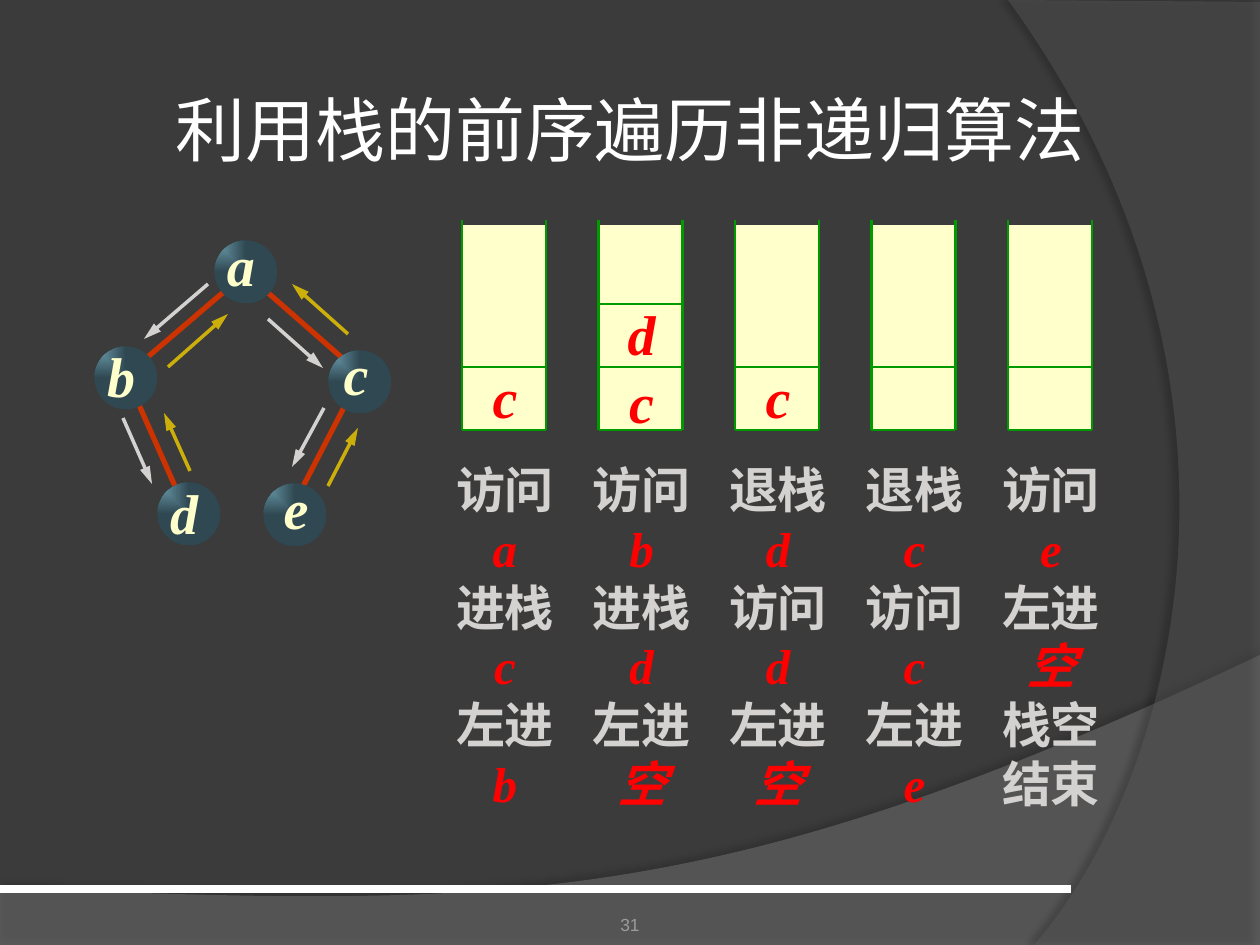
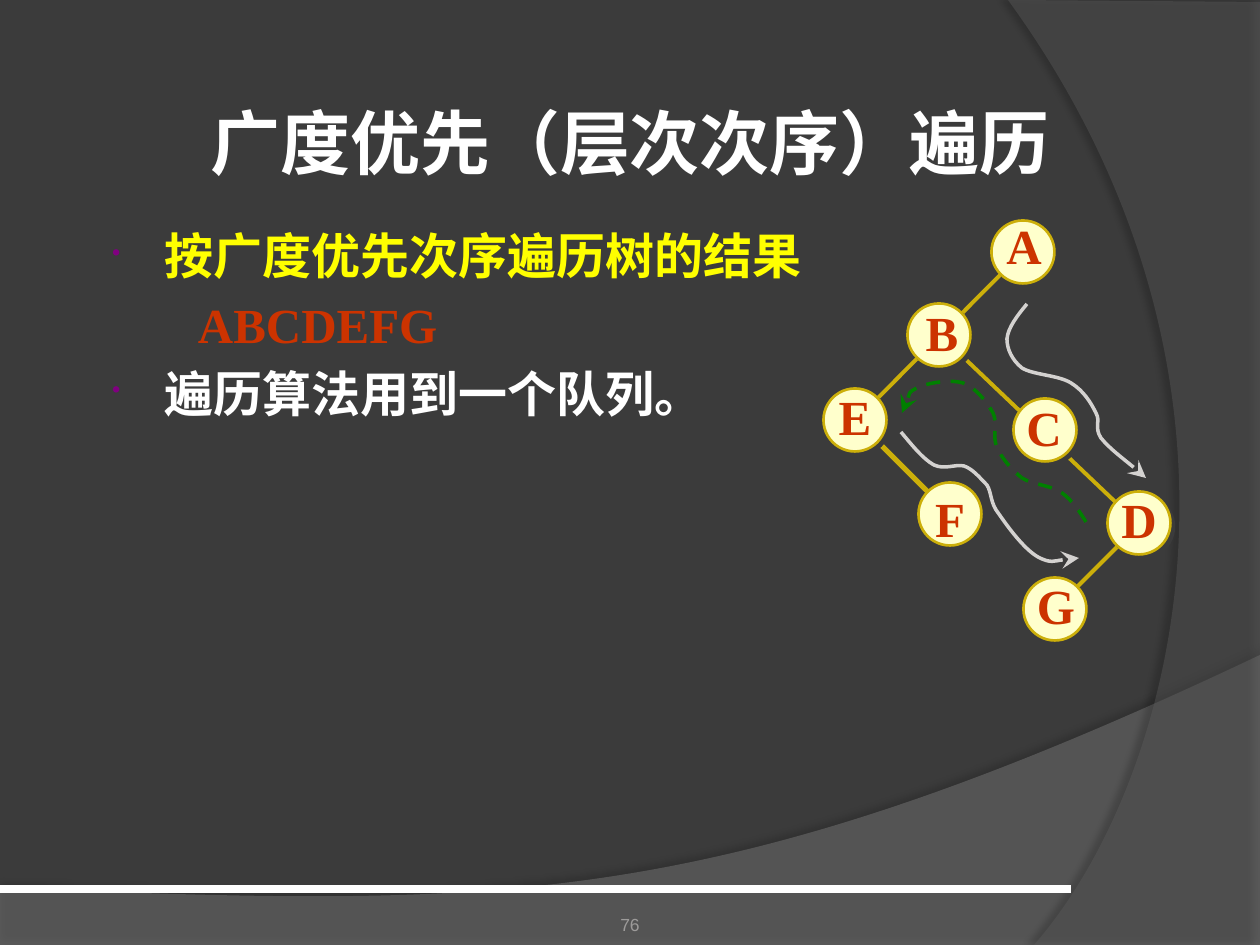
from dataclasses import dataclass

from pptx import Presentation
from pptx.dml.color import RGBColor
from pptx.enum.dml import MSO_LINE
from pptx.enum.shapes import MSO_CONNECTOR, MSO_SHAPE
from pptx.enum.text import MSO_ANCHOR, PP_ALIGN
from pptx.oxml import parse_xml
from pptx.oxml.ns import nsdecls, qn
from pptx.util import Emu, Pt


@dataclass(frozen=True)
class Theme:
    back: str = "3B3B3B"
    black: str = "000000"
    band_low: str = "7F7F7F"
    band_right: str = "5E5E5E"
    white: str = "FFFFFF"
    light: str = "D4D2D0"
    number: str = "9D9B9A"
    cream: str = "FFFFCC"
    gold: str = "CCAF0A"
    rust: str = "CC3300"
    red: str = "FF0000"
    yellow: str = "FFFF00"
    stack: str = "009900"
    dashed: str = "008000"
    bullet: str = "800080"
    ball_light: str = "6EA0B0"
    ball_dark: str = "2F4852"
    title_pt: int = 40
    node_pt: int = 32
    text_pt: int = 28
    number_pt: int = 10
    serif: str = "Times New Roman"
    cjk: str = "Noto Sans CJK JP"
    title: str = "Karla"
    sans: str = "Arial"


T = Theme()
W, H, DPI = 1260, 945, 126
NODE = 63

# ---- Content: preorder traversal with a stack ----
PREORDER_TITLE = "利用栈的前序遍历非递归算法"
# letter: node centre, label offset
PREORDER_NODES = {
    "a": (246, 272, -5, -8), "b": (126, 378, -5, -3), "c": (360, 382, -4, -9),
    "d": (189, 514, -5, -2), "e": (295, 515, 1, -8),
}
PREORDER_EDGES = [(354, 388, 297, 498), (136, 398, 178, 493),
                  (258, 284, 348, 363), (233, 284, 136, 367)]
DOWN_ARROWS = [(208, 284, 144, 339), (123, 418, 152, 484),
               (268, 319, 323, 368), (324, 408, 292, 467)]
UP_ARROWS = [(190, 471, 164, 413), (168, 367, 228, 314),
             (328, 486, 358, 428), (348, 334, 292, 284)]
# stack contents from the top, centre of the contents, steps below
STACKS = [
    (["c"], 396, ["访问", "a", "进栈", "c", "左进", "b"]),
    (["d", "c"], 367, ["访问", "b", "进栈", "d", "左进", "空"]),
    (["c"], 396, ["退栈", "d", "访问", "d", "左进", "空"]),
    ([], 396, ["退栈", "c", "访问", "c", "左进", "e"]),
    ([], 396, ["访问", "e", "左进", "空", "栈空", "结束"]),
]
STACK_LEFT, STACK_STEP, STACK_W = 462, 136.5, 84
STACK_TOP, STACK_FLOOR, CELL_H = 220, 430, 63

# ---- Content: breadth-first traversal ----
LEVEL_TITLE = "广度优先（层次次序）遍历"
# text, colour, left margin, first-line indent, bulleted
LEVEL_TEXT = [
    ("按广度优先次序遍历树的结果", T.yellow, 58, -53, True),
    ("ABCDEFG", T.rust, 91, 0, False),
    ("遍历算法用到一个队列。", T.white, 58, -53, True),
]
LEVEL_NODES = {
    "A": (1023, 252, 1, -7), "B": (939, 335, 3, -3), "C": (1045, 430, -1, -3),
    "D": (1139, 523, 0, -4), "E": (855, 420, 0, -4), "F": (950, 514, 0, 4),
    "G": (1055, 609, 1, -4),
}
LEVEL_EDGES = [(1128, 536, 1065, 599, 2.25), (866, 430, 929, 493, 3),
               (1013, 262, 866, 410, 2.25), (960, 354, 1128, 514, 2.25)]
# Bezier points: start, then two controls and an end per piece
LEVEL_CURVES = [
    (T.light, False, [
        (1027, 304), (1017, 316), (1008, 328), (1007, 339), (1007, 349),
        (1012, 360), (1022, 368), (1033, 375), (1058, 375), (1071, 383),
        (1084, 391), (1091, 403), (1096, 413), (1101, 422), (1094, 427),
        (1101, 438), (1110, 449), (1139, 471), (1146, 478)]),
    (T.dashed, True, [
        (1086, 522), (1080, 512), (1072, 500), (1062, 493), (1051, 485),
        (1033, 485), (1022, 478), (1012, 470), (1002, 459), (997, 447),
        (992, 437), (998, 423), (993, 413), (987, 402), (975, 387),
        (963, 383), (950, 379), (927, 383), (917, 388), (907, 393),
        (905, 408), (902, 413)]),
    (T.light, False, [
        (901, 432), (912, 445), (923, 459), (934, 465), (945, 470),
        (955, 464), (964, 466), (973, 469), (980, 478), (987, 485),
        (992, 493), (990, 503), (999, 514), (1008, 527), (1024, 549),
        (1038, 557), (1051, 564), (1071, 558), (1079, 558)]),
]


# ---- Drawing helpers ----
def px(v):
    return Emu(round(v * 914400 / DPI))


def rgb(color):
    return RGBColor.from_string(color)


def style_run(r, color, size, font, bold=False, italic=False):
    r.font.name, r.font.size = font, Pt(size)
    r.font.bold, r.font.italic = bold, italic
    r.font.color.rgb = rgb(color)
    r.font._element.find(qn("a:latin")).addnext(
        parse_xml(f'<a:ea {nsdecls("a")} typeface="{T.cjk}"/>'))


def add_text(s, x, y, w, h, lines, color, size, font, bold=False, italic=False,
             anchor=MSO_ANCHOR.MIDDLE, align=PP_ALIGN.CENTER, leading=None):
    tf = s.shapes.add_textbox(px(x), px(y), px(w), px(h)).text_frame
    tf.word_wrap, tf.vertical_anchor = True, anchor
    tf.margin_left = tf.margin_right = tf.margin_top = tf.margin_bottom = 0
    tf.text = "\n".join(lines)
    for p in tf.paragraphs:
        p.alignment = align
        if leading:
            p.line_spacing = Pt(leading)
        for r in p.runs:
            style_run(r, color, size, font, bold, italic)
    return tf


def add_label(s, cx, cy, lines, color, size, italic=False, w=54):
    """Bold serif lines centred on a point, with 1.2 line spacing."""
    h = size * 2.1 * len(lines) + 12
    return add_text(s, cx - w / 2, cy - h / 2, w, h, lines, color, size,
                    T.serif, True, italic, leading=size * 1.2)


def add_arrowhead(line, kind, width):
    line._get_or_add_ln().append(
        parse_xml(f'<a:tailEnd {nsdecls("a")} type="{kind}" w="{width}" len="lg"/>'))


def add_line(s, x1, y1, x2, y2, color, width, arrow=False):
    c = s.shapes.add_connector(MSO_CONNECTOR.STRAIGHT, px(x1), px(y1), px(x2), px(y2))
    c.line.color.rgb, c.line.width = rgb(color), Pt(width)
    if arrow:
        add_arrowhead(c.line, "triangle", "med")
    c._element.spPr.append(parse_xml(f'<a:effectLst {nsdecls("a")}/>'))


def add_shadow(sp, color, opacity, blur, dist, angle):
    sp._element.spPr.find(qn("a:effectLst")).append(parse_xml(
        f'<a:outerShdw {nsdecls("a")} blurRad="{Pt(blur)}" dist="{Pt(dist)}" '
        f'dir="{angle * 60000}" algn="ctr" rotWithShape="0"><a:srgbClr val="{color}">'
        f'<a:alpha val="{opacity * 1000}"/></a:srgbClr></a:outerShdw>'))


def add_shape(s, kind, x, y, w, h, fill):
    sp = s.shapes.add_shape(kind, px(x), px(y), px(w), px(h))
    sp.shadow.inherit = False
    sp.fill.solid()
    sp.fill.fore_color.rgb = rgb(fill)
    sp.line.fill.background()
    return sp


def add_node(s, cx, cy):
    return add_shape(s, MSO_SHAPE.OVAL, cx - NODE / 2, cy - NODE / 2, NODE, NODE, T.cream)


def add_curve(s, curve, corners=()):
    """Outline of straight corners, then cubic pieces; closed if it has corners."""
    ends = list(corners) + curve[::3]
    builder = s.shapes.build_freeform(px(ends[0][0]), px(ends[0][1]), scale=1.0)
    builder.add_line_segments([(px(x), px(y)) for x, y in ends[1:]], close=bool(corners))
    sp = builder.convert_to_shape()
    sp.shadow.inherit = False
    outline = sp._element.spPr.find(".//" + qn("a:path"))
    pieces = outline.findall(qn("a:lnTo"))[-(len(curve) // 3):]
    for i, piece in enumerate(pieces):
        pts = "".join(f'<a:pt x="{px(x) - sp.left}" y="{px(y) - sp.top}"/>'
                      for x, y in curve[3 * i + 1:3 * i + 4])
        outline.replace(piece, parse_xml(
            f'<a:cubicBezTo {nsdecls("a")}>{pts}</a:cubicBezTo>'))
    return sp


def add_band(s, corners, curve, color, opacity, *shadow):
    sp = add_curve(s, curve, corners)
    sp.fill.solid()
    sp.fill.fore_color.rgb = rgb(color)
    sp.line.fill.background()
    sp._element.spPr.find(qn("a:solidFill"))[0].append(
        parse_xml(f'<a:alpha {nsdecls("a")} val="{opacity * 1000}"/>'))
    add_shadow(sp, T.black, *shadow)


def move_to_layout(s):
    """Turn all that is drawn on the slide into its layout's backdrop."""
    layout = s.slide_layout
    for ph in list(layout.placeholders):
        ph._element.getparent().remove(ph._element)
    for sp in list(s.shapes):
        layout.shapes._spTree.append(sp._element)


def new_slide(prs, number, title, top, height, font, bold):
    """Slide with the shared backdrop, its page number and title."""
    s = prs.slides.add_slide(prs.slide_layouts[6])
    if len(prs.slides) == 1:
        fill = prs.slide_master.background.fill
        fill.solid()
        fill.fore_color.rgb = rgb(T.back)
        add_band(s, [(0, H), (W, H)], [(W, 655), (704, 919), (493, 906), (0, 888)],
                 T.band_low, 45, 35, 4, 3.5, 270)
        add_band(s, [(W, 2), (W, H)], [(1034, H), (1178, 780), (1283, 378), (1008, 0)],
                 T.band_right, 40, 45, 4, 4, 180)
        add_line(s, 0, 889, 1071, 889, T.white, 4.5)
        move_to_layout(s)
    add_text(s, 430, 885, 400, 50, [str(number)], T.number, T.number_pt, T.sans,
             anchor=MSO_ANCHOR.BOTTOM)
    add_text(s, 63, top, 1134, height, [title], T.white, T.title_pt, font, bold)
    return s


# ---- Slides ----
def build_preorder(prs):
    s = new_slide(prs, 31, PREORDER_TITLE, 62, 132, T.title, False)

    # Tree
    for edge in PREORDER_EDGES:
        add_line(s, *edge, T.rust, 3)
    for letter, (cx, cy, dx, dy) in PREORDER_NODES.items():
        sp = add_node(s, cx, cy)
        sp.fill.gradient()
        for stop, color in zip(sp.fill.gradient_stops, (T.ball_light, T.ball_dark)):
            stop.color.rgb = rgb(color)
        grad = sp._element.spPr.find(qn("a:gradFill"))
        grad.replace(grad.find(qn("a:lin")), parse_xml(
            f'<a:path {nsdecls("a")} path="rect"><a:fillToRect r="100000" b="100000"/></a:path>'))
        add_label(s, cx + dx, cy + dy, [letter], T.cream, T.node_pt, True)
    for arrows, color in ((DOWN_ARROWS, T.light), (UP_ARROWS, T.gold)):
        for arrow in arrows:
            add_line(s, *arrow, color, 2, True)

    # Stacks and the steps under them
    for i, (items, items_y, steps) in enumerate(STACKS):
        left = STACK_LEFT + i * STACK_STEP
        right, mid = left + STACK_W, left + STACK_W / 2 + 1
        sp = add_shape(s, MSO_SHAPE.RECTANGLE, left, STACK_TOP + 5, STACK_W, 205, T.cream)
        add_shadow(sp, T.back, 100, 0, 8.5, 45)
        for x in (left, right):
            add_line(s, x, STACK_TOP, x, STACK_FLOOR, T.stack, 1.5)
        for level in range(max(len(items), 1) + 1):
            y = STACK_FLOOR - level * CELL_H
            add_line(s, left, y, right, y, T.stack, 1.5)
        if items:
            add_label(s, mid, items_y, items, T.red, T.node_pt, True)
        tf = add_label(s, mid, 636, steps, T.light, T.text_pt, w=124)
        for p in tf.paragraphs:
            if len(p.text) == 1:
                p.runs[0].font.italic = True
                p.runs[0].font.color.rgb = rgb(T.red)


def build_level_order(prs):
    s = new_slide(prs, 76, LEVEL_TITLE, 63, 156, T.cjk, True)

    # Text
    tf = add_text(s, 107, 226, 1027, 640, [row[0] for row in LEVEL_TEXT], T.white,
                  T.text_pt, T.serif, True, anchor=MSO_ANCHOR.TOP,
                  align=PP_ALIGN.LEFT, leading=T.text_pt * 1.2)
    for i, (p, (_, color, margin, indent, bulleted)) in enumerate(zip(tf.paragraphs, LEVEL_TEXT)):
        pPr = p._p.get_or_add_pPr()
        pPr.set("marL", str(px(margin)))
        pPr.set("indent", str(px(indent)))
        if i:
            p.space_before = Pt(T.text_pt * 0.2)
        if bulleted:
            for xml in (f'<a:buClr {nsdecls("a")}><a:srgbClr val="{T.bullet}"/></a:buClr>',
                        f'<a:buSzPct {nsdecls("a")} val="50000"/>',
                        f'<a:buChar {nsdecls("a")} char="•"/>'):
                pPr.append(parse_xml(xml))
        p.runs[0].font.color.rgb = rgb(color)

    # Tree
    for *edge, width in LEVEL_EDGES:
        add_line(s, *edge, T.gold, width)
    for letter, (cx, cy, dx, dy) in LEVEL_NODES.items():
        sp = add_node(s, cx, cy)
        sp.line.color.rgb, sp.line.width = rgb(T.gold), Pt(1.5)
        add_shadow(sp, T.back, 100, 0, 2.8, 45)
        add_label(s, cx + dx, cy + dy, [letter], T.rust, T.text_pt)

    # Level paths
    for color, dashed, points in LEVEL_CURVES:
        sp = add_curve(s, points)
        sp.fill.background()
        sp.line.color.rgb, sp.line.width = rgb(color), Pt(2)
        if dashed:
            sp.line.dash_style = MSO_LINE.DASH
        add_arrowhead(sp.line, "stealth", "lg")


def main():
    prs = Presentation()
    prs.slide_width, prs.slide_height = px(W), px(H)
    build_preorder(prs)
    build_level_order(prs)
    prs.save("out.pptx")


if __name__ == "__main__":
    main()
